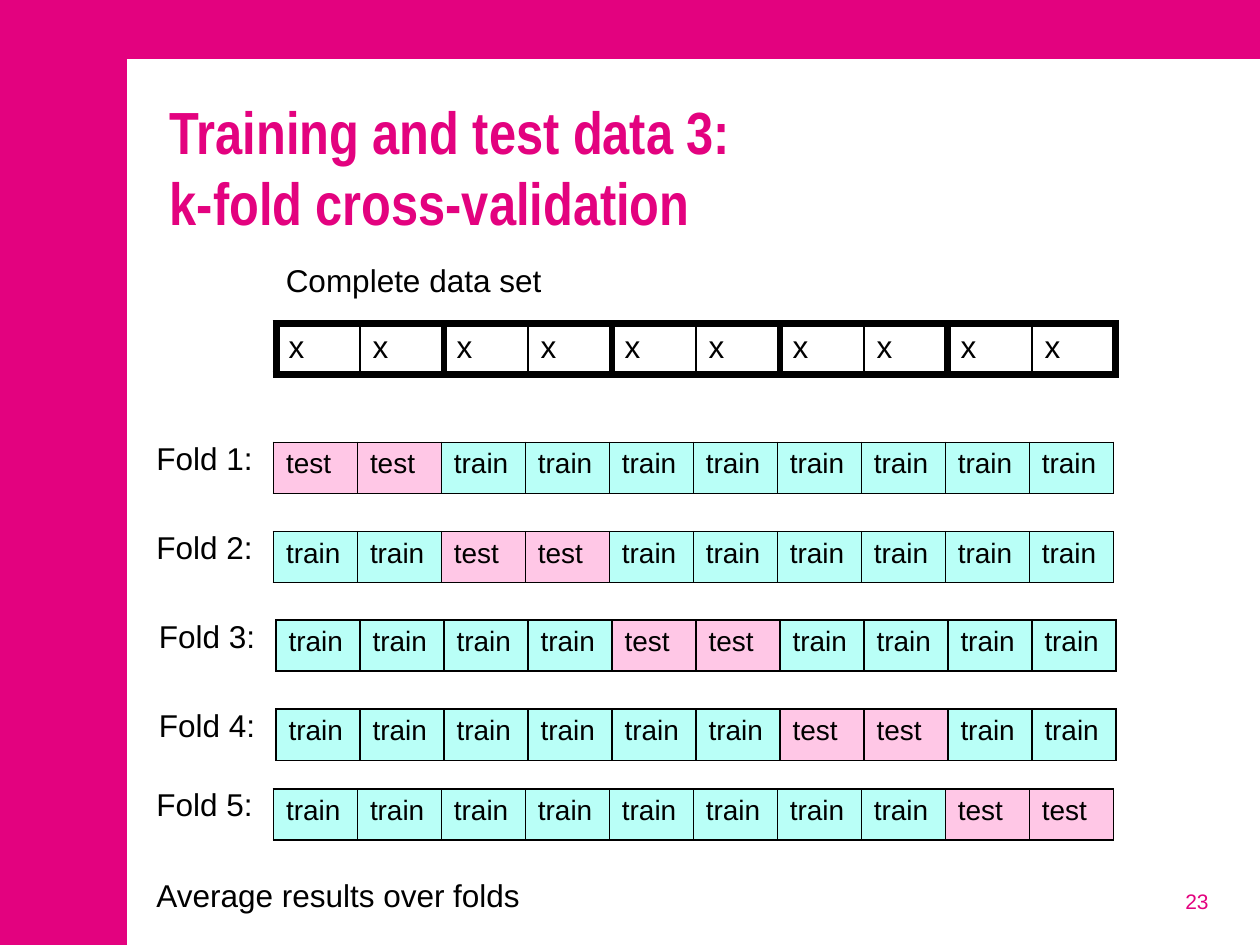
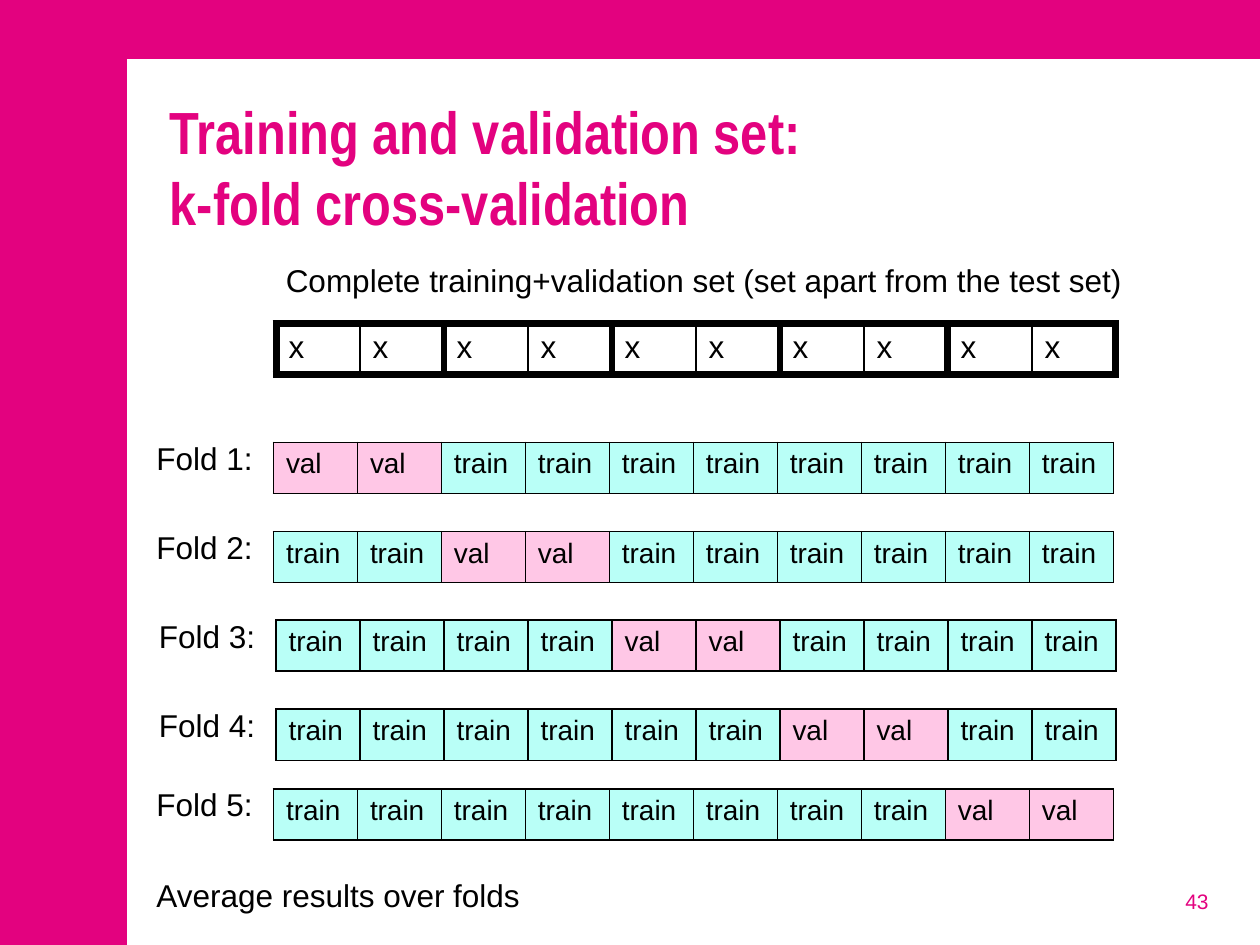
from dataclasses import dataclass

import lxml.etree
import pptx
import pptx.dml.color
import pptx.enum.shapes
import pptx.enum.text
import pptx.oxml.ns
import pptx.slide
import pptx.table
import pptx.text.text
import pptx.util

Pt = pptx.util.Pt
RGBColor = pptx.dml.color.RGBColor
Anchor = pptx.enum.text.MSO_ANCHOR
Align = pptx.enum.text.PP_ALIGN
qn = pptx.oxml.ns.qn

# Shared colours
PINK = RGBColor(0xE3, 0x02, 0x7F)
WHITE = RGBColor(0xFF, 0xFF, 0xFF)
BLACK = RGBColor(0x00, 0x00, 0x00)
ROSE = RGBColor(0xFF, 0xC7, 0xE6)
AQUA = RGBColor(0xB9, 0xFF, 0xF7)

# Shared text formats
TITLE = {"name": "Arial Narrow", "size": Pt(34), "bold": True, "color": PINK}
BODY = {"name": "Arial", "size": Pt(18), "color": BLACK}
CELL = {"name": "Arial", "size": Pt(16), "color": BLACK}
NUMBER = {"name": "Arial", "size": Pt(12), "color": PINK}

# Page and table measures, in points
WIDE, HIGH = 720, 540
EDGE_X, EDGE_Y = 72.75, 33.75
COUNT, COL, ROW = 10, 48, 29.25
THIN, THICK = 1, 4.5
LINE_H = 29
LABEL_DX, LABEL_DY = 74, 5.5
GROUP = 2  # samples held out in each fold


@dataclass(frozen=True)
class Box:
    left: float
    top: float
    width: float
    height: float

    def place(self) -> tuple:
        return tuple(Pt(v) for v in (self.left, self.top, self.width, self.height))


@dataclass(frozen=True)
class Item:
    text: str
    fill: RGBColor | None
    sides: dict[str, float]


@dataclass(frozen=True)
class Fold:
    left: float
    top: float


@dataclass(frozen=True)
class Page:
    title: tuple[str, str]
    head: str
    width: float
    held: str
    number: int


FOLDS = (
    Fold(156.25, 252.75),
    Fold(156.25, 303.75),
    Fold(157.75, 354.25),
    Fold(157.75, 405.25),
    Fold(156.25, 450.75),
)
PAGES = (
    Page(("Training and test data 3: ", "k-fold cross-validation"),
         "Complete data set", 272, "test", 23),
    Page(("Training and validation set: ", "k-fold cross-validation"),
         "Complete training+validation set (set apart from the test set)",
         521, "val", 43),
)


def add_run(para: pptx.text.text._Paragraph, text: str, form: dict) -> None:
    run = para.add_run()
    run.text = text
    for key, value in form.items():
        if key == "color":
            run.font.color.rgb = value
        else:
            setattr(run.font, key, value)


def add_text(slide: pptx.slide.Slide, box: Box, lines: tuple[str, ...], form: dict,
             anchor: Anchor = Anchor.TOP, align: Align = Align.LEFT) -> None:
    frame = slide.shapes.add_textbox(*box.place()).text_frame
    for key, value in {"word_wrap": True, "vertical_anchor": anchor}.items():
        setattr(frame, key, value)
    para = frame.paragraphs[0]
    para.alignment = align
    for i, line in enumerate(lines):
        if i:
            para.add_line_break()
        add_run(para, line, form)


def add_edge(cell: pptx.table._Cell, side: str, width: float) -> None:
    props = cell._tc.get_or_add_tcPr()
    edge = lxml.etree.SubElement(props, qn(f"a:ln{side}"), w=str(int(Pt(width))))
    fill = lxml.etree.SubElement(edge, qn("a:solidFill"))
    lxml.etree.SubElement(fill, qn("a:srgbClr"), val=str(BLACK))


def add_row(slide: pptx.slide.Slide, left: float, top: float,
            items: list[Item], form: dict) -> None:
    box = Box(left, top, COL * len(items), ROW)
    table = slide.shapes.add_table(1, len(items), *box.place()).table
    for key in ("first_row", "horz_banding"):
        setattr(table, key, False)
    for i, item in enumerate(items):
        table.columns[i].width = Pt(COL)
        cell = table.cell(0, i)
        # Edges come before the fill in the cell's XML
        for side, width in item.sides.items():
            add_edge(cell, side, width)
        if item.fill is None:
            cell.fill.background()
        else:
            cell.fill.solid()
            cell.fill.fore_color.rgb = item.fill
        add_run(cell.text_frame.paragraphs[0], item.text, form)


def add_frame(slide: pptx.slide.Slide, page: Page) -> None:
    # Pink band with a white panel, title and page number
    back = slide.background.fill
    back.solid()
    back.fore_color.rgb = PINK
    box = Box(EDGE_X, EDGE_Y, WIDE - EDGE_X, HIGH - EDGE_Y)
    panel = slide.shapes.add_shape(
        pptx.enum.shapes.MSO_SHAPE.RECTANGLE, *box.place())
    panel.shadow.inherit = False
    panel.fill.solid()
    panel.fill.fore_color.rgb = WHITE
    panel.line.fill.background()
    add_text(slide, Box(90, 50.5, 607.5, 96.5), page.title, TITLE)
    add_text(slide, Box(530, 500.5, 167.75, LINE_H), (str(page.number),), NUMBER,
             Anchor.MIDDLE, Align.RIGHT)


def data_items() -> list[Item]:
    # Heavy lines set off each group of samples
    return [Item("x", None, {
        "L": THICK if i % GROUP == 0 else THIN,
        "R": THICK if i % GROUP == GROUP - 1 else THIN,
        "T": THICK, "B": THICK}) for i in range(COUNT)]


def fold_items(index: int, held: str) -> list[Item]:
    sides = dict.fromkeys("LRTB", THIN)
    return [Item(held, ROSE, sides) if i // GROUP == index
            else Item("train", AQUA, sides) for i in range(COUNT)]


def add_page(deck, page: Page) -> None:
    slide = deck.slides.add_slide(deck.slide_layouts[6])
    add_frame(slide, page)

    # Full data set
    add_text(slide, Box(156.25, 145.5, page.width, LINE_H), (page.head,), BODY)
    add_row(slide, 157.75, 185, data_items(), BODY)

    # One labelled row per fold
    for i, fold in enumerate(FOLDS):
        add_row(slide, fold.left, fold.top, fold_items(i, page.held), CELL)
        spot = Box(fold.left - LABEL_DX, fold.top - LABEL_DY, 414, LINE_H)
        add_text(slide, spot, (f"Fold {i + 1}:",), BODY)

    add_text(slide, Box(82.25, 497, 312, LINE_H),
             ("Average results over folds",), BODY)


def main() -> None:
    deck = pptx.Presentation()
    deck.slide_width, deck.slide_height = Pt(WIDE), Pt(HIGH)
    for page in PAGES:
        add_page(deck, page)
    deck.save("out.pptx")


if __name__ == "__main__":
    main()
